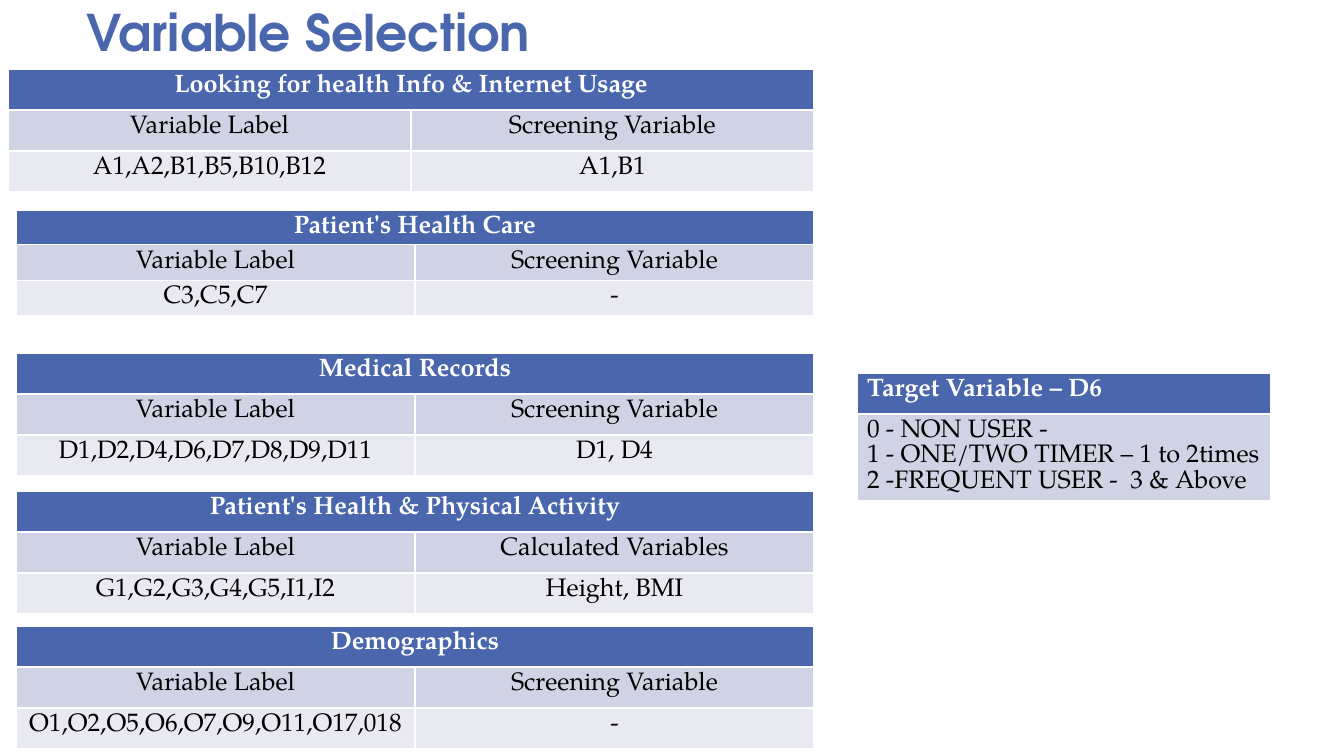
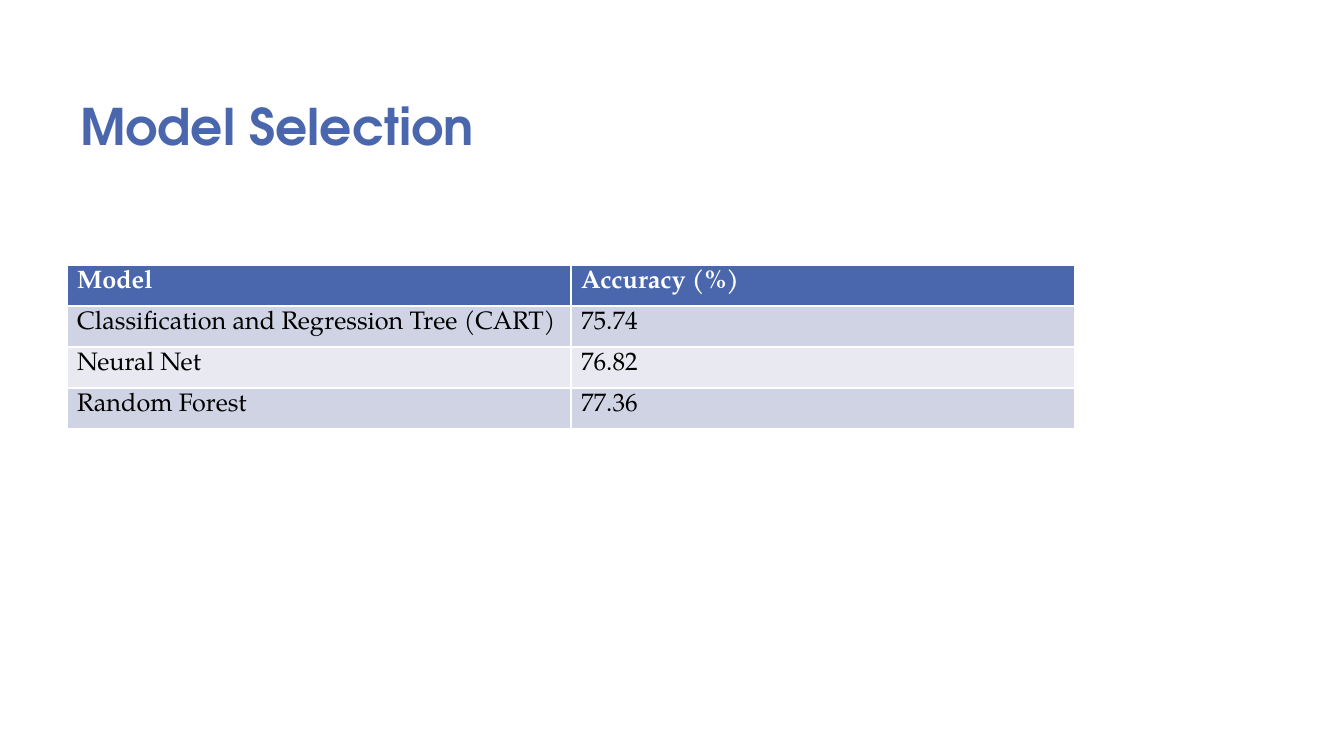
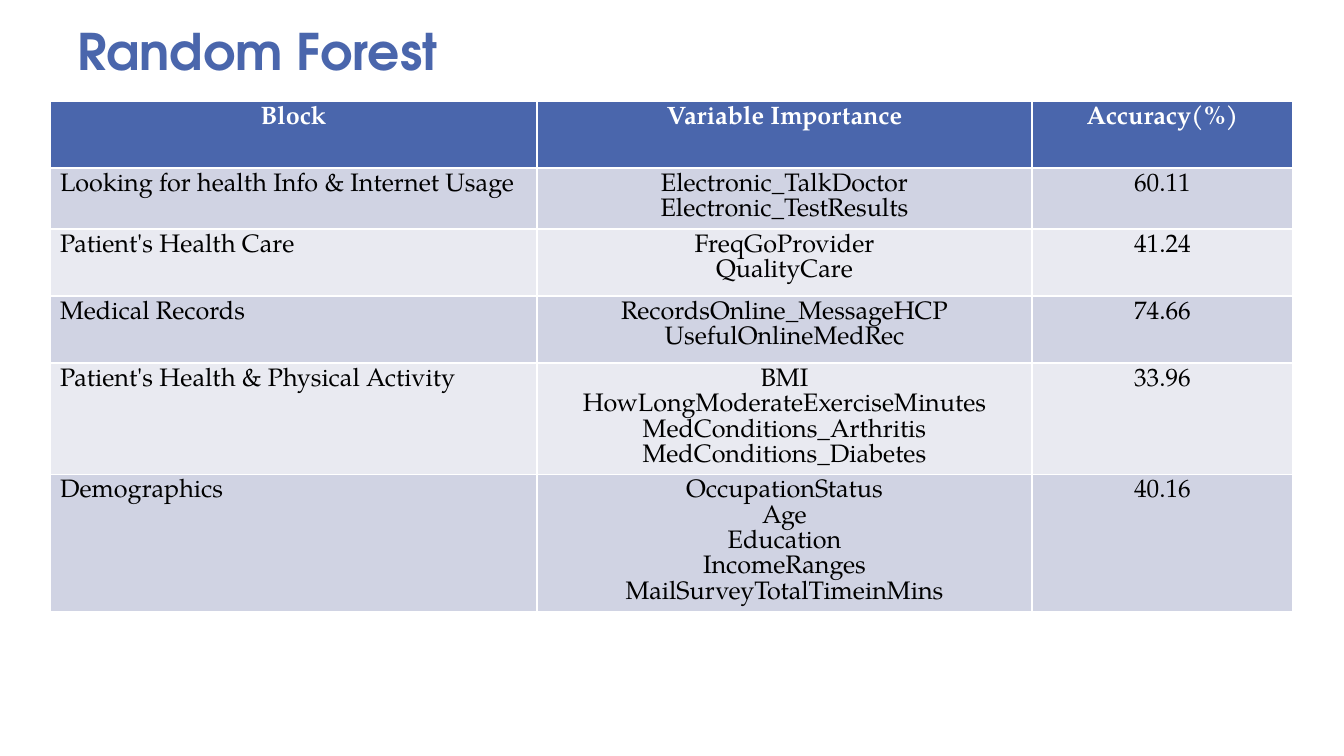
import dataclasses

import pptx
import pptx.dml.color
import pptx.enum.text
import pptx.util

ALIGN = pptx.enum.text.PP_ALIGN


@dataclasses.dataclass(frozen=True)
class Theme:
    accent: str = "4A66AC"
    band_dark: str = "D0D3E3"
    band_light: str = "E9EAF1"
    header_ink: str = "FFFFFF"
    ink: str = "000000"
    title_font: str = "TeX Gyre Adventor"
    table_font: str = "TeX Gyre Pagella"
    title_size: int = 36
    table_size: int = 18


THEME = Theme()
SLIDE_WIDTH, SLIDE_HEIGHT = 1344, 756
TITLE_WIDTH = 958
ROW_HEIGHT = 41

VARIABLE_BLOCKS = [
    ("Looking for health Info & Internet Usage", "Screening Variable",
     "A1,A2,B1,B5,B10,B12", "A1,B1", 8, 69, ROW_HEIGHT, 123),
    ("Patient's Health Care", "Screening Variable",
     "C3,C5,C7", "-", 16, 210, 28, 121),
    ("Medical Records", "Screening Variable",
     "D1,D2,D4,D6,D7,D8,D9,D11", "D1, D4", 16, 353, ROW_HEIGHT, 123),
    ("Patient's Health & Physical Activity", "Calculated Variables",
     "G1,G2,G3,G4,G5,I1,I2", "Height, BMI", 16, 491, ROW_HEIGHT, 123),
    ("Demographics", "Screening Variable",
     "O1,O2,O5,O6,O7,O9,O11,O17,018", "-", 16, 626, ROW_HEIGHT, 123),
]
BLOCKS_RIGHT = 814

TARGET_VARIABLE = [
    ["Target Variable – D6"],
    ["0 - NON USER -\n1 - ONE/TWO TIMER – 1 to 2times\n2 -FREQUENT USER -  3 & Above"],
]

MODEL_ACCURACY = [
    ["Model", "Accuracy (%)"],
    ["Classification and Regression Tree (CART)", "75.74"],
    ["Neural Net", "76.82"],
    ["Random Forest", "77.36"],
]

BLOCK_IMPORTANCE = [
    ["Block", "Variable Importance", "Accuracy(%)"],
    ["Looking for health Info & Internet Usage",
     "Electronic_TalkDoctor\nElectronic_TestResults", "60.11"],
    ["Patient's Health Care", "FreqGoProvider\nQualityCare", "41.24"],
    ["Medical Records",
     "RecordsOnline_MessageHCP\nUsefulOnlineMedRec", "74.66"],
    ["Patient's Health & Physical Activity",
     "BMI\nHowLongModerateExerciseMinutes\n"
     "MedConditions_Arthritis\nMedConditions_Diabetes", "33.96"],
    ["Demographics",
     "OccupationStatus\nAge\nEducation\nIncomeRanges\n"
     "MailSurveyTotalTimeinMins", "40.16"],
]


def px(length):
    return pptx.util.Emu(round(length * 914400 / 100.8))


def rgb(code):
    return pptx.dml.color.RGBColor.from_string(code)


def write_text(frame, text, *, font, size, color, bold=False,
               align=ALIGN.LEFT, line_spacing=None):
    frame.text = text
    for paragraph in frame.paragraphs:
        paragraph.alignment = align
        paragraph.line_spacing = line_spacing
        for run in paragraph.runs:
            run.font.name = font
            run.font.size = pptx.util.Pt(size)
            run.font.bold = bold
            run.font.color.rgb = rgb(color)


def add_titled_slide(deck, heading, left, top, height):
    slide = deck.slides.add_slide(deck.slide_layouts[5])
    title = slide.shapes.title
    title.left, title.top = px(left), px(top)
    title.width, title.height = px(TITLE_WIDTH), px(height)
    frame = title.text_frame
    frame.word_wrap = True
    frame.auto_size = pptx.enum.text.MSO_AUTO_SIZE.NONE
    frame.vertical_anchor = pptx.enum.text.MSO_ANCHOR.BOTTOM
    write_text(frame, heading, font=THEME.title_font, size=THEME.title_size,
               color=THEME.accent, bold=True, line_spacing=0.8)
    return slide


def fill_cell(cell, text, row_index, align):
    is_header = row_index == 0
    band = THEME.band_dark if row_index % 2 else THEME.band_light
    cell.fill.solid()
    cell.fill.fore_color.rgb = rgb(THEME.accent if is_header else band)
    write_text(cell.text_frame, text, font=THEME.table_font,
               size=THEME.table_size, bold=is_header, align=align,
               color=THEME.header_ink if is_header else THEME.ink)


def add_banded_table(slide, rows, left, top, column_widths, row_heights,
                     height, header_align=ALIGN.LEFT, body_aligns=None):
    column_count = len(column_widths)
    body_aligns = body_aligns or [header_align] * column_count
    frame = slide.shapes.add_table(len(rows), column_count, px(left), px(top),
                                   px(sum(column_widths)), px(height))
    table = frame.table
    for column, width in zip(table.columns, column_widths):
        column.width = px(width)
    for row, row_height in zip(table.rows, row_heights):
        row.height = px(row_height)
    frame.height = px(height)
    if len(rows[0]) < column_count:
        table.cell(0, 0).merge(table.cell(0, column_count - 1))
    for row_index, texts in enumerate(rows):
        aligns = body_aligns if row_index else [header_align] * column_count
        for column_index, text in enumerate(texts):
            fill_cell(table.cell(row_index, column_index), text, row_index,
                      aligns[column_index])


def add_variable_selection(deck):
    slide = add_titled_slide(deck, "Variable Selection", 76, 8, 58)
    for name, second_label, labels, derived, left, top, row, height in VARIABLE_BLOCKS:
        rows = [[name], ["Variable Label", second_label], [labels, derived]]
        add_banded_table(slide, rows, left, top, [(BLOCKS_RIGHT - left) / 2] * 2,
                         [row] * 3, height, header_align=ALIGN.CENTER)
    add_banded_table(slide, TARGET_VARIABLE, 857, 373, [414],
                     [ROW_HEIGHT] * 2, 142)


def add_model_selection(deck):
    slide = add_titled_slide(deck, "Model Selection", 70, 42, 118)
    add_banded_table(slide, MODEL_ACCURACY, 67, 265, [504, 504],
                     [ROW_HEIGHT] * 4, 164)


def add_random_forest(deck):
    slide = add_titled_slide(deck, "Random Forest", 67, 17, 68)
    add_banded_table(slide, BLOCK_IMPORTANCE, 50, 101, [487, 495, 261],
                     [67, 61, 67, 67, 67, 67], 571, header_align=ALIGN.CENTER,
                     body_aligns=[ALIGN.LEFT, ALIGN.CENTER, ALIGN.CENTER])


def main():
    deck = pptx.Presentation()
    deck.slide_width, deck.slide_height = px(SLIDE_WIDTH), px(SLIDE_HEIGHT)
    add_variable_selection(deck)
    add_model_selection(deck)
    add_random_forest(deck)
    deck.save("out.pptx")


main()
